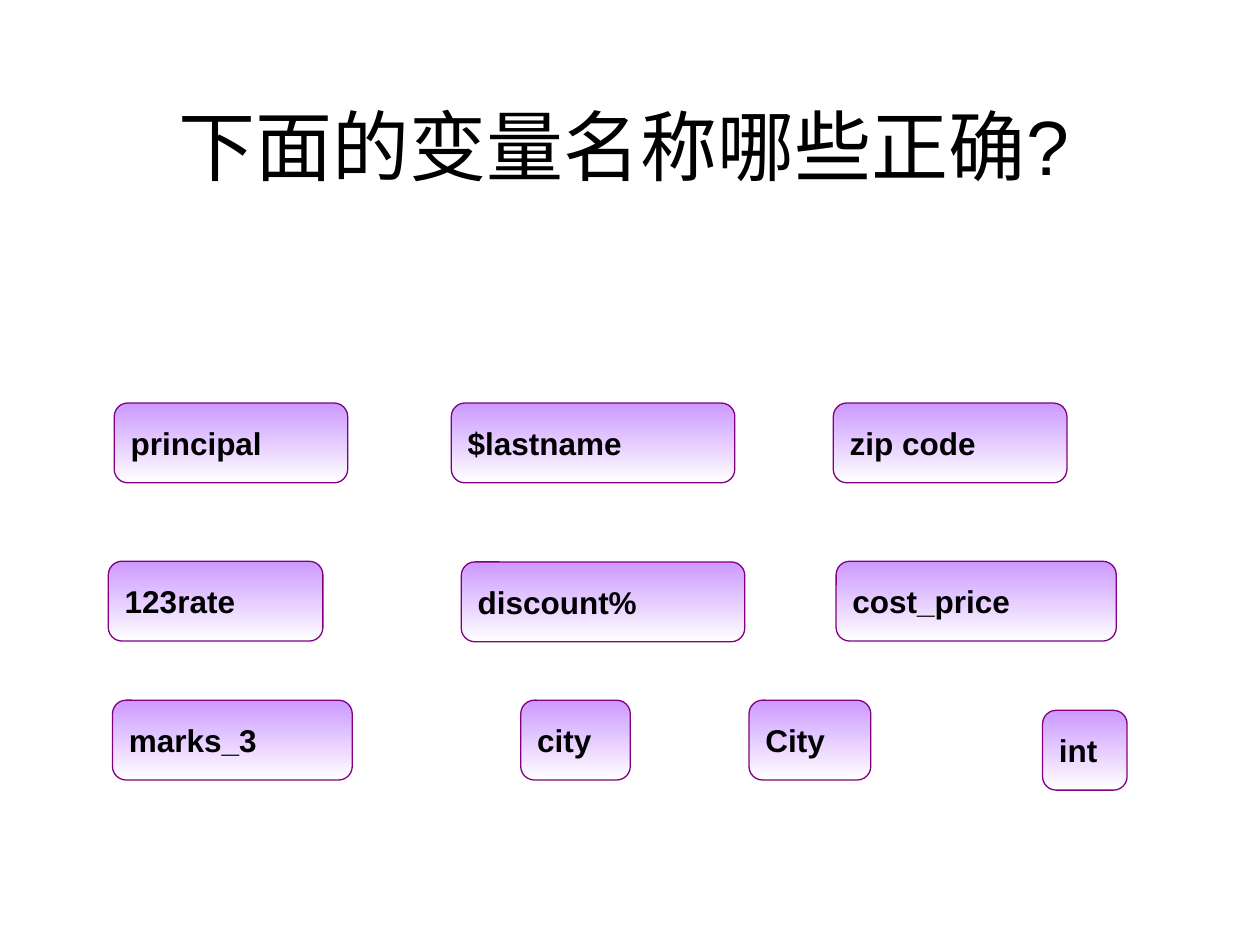
from typing import NamedTuple

from pptx import Presentation
from pptx.dml.color import RGBColor
from pptx.enum.shapes import MSO_SHAPE as Shape
from pptx.enum.text import MSO_ANCHOR as Anchor, PP_ALIGN as Align
from pptx.util import Pt

BLACK = RGBColor(0x00, 0x00, 0x00)
LILAC = RGBColor(0xCC, 0x99, 0xFF)
WHITE = RGBColor(0xFF, 0xFF, 0xFF)
PURPLE = RGBColor(0x80, 0x00, 0x80)
FONT = "Arial"
HIGH = 45.6


class Tag(NamedTuple):
    text: str
    left: float
    top: float
    width: float


# Rows of variable names
ROW1, ROW2, ROW3 = 230.3, 320.7, 400.1
TAGS = [
    Tag("principal", 65.3, ROW1, 133.4),
    Tag("$lastname", 257.9, ROW1, 162),
    Tag("zip code", 476.2, ROW1, 133.5),
    Tag("123rate", 61.9, ROW2, 122.6),
    Tag("discount%", 263.6, ROW2 + 0.4, 162),
    Tag("cost_price", 477.8, ROW2, 160.1),
    Tag("marks_3", 64.3, ROW3, 137),
    Tag("city", 297.6, ROW3, 62.6),
    Tag("City", 428, ROW3, 69.6),
    Tag("int", 595.8, ROW3 + 5.8, 48.3),
]


def write(shape, text: str, *, size: float, bold: bool = False,
          align: Align = Align.LEFT) -> None:
    frame = shape.text_frame
    frame.word_wrap = True
    frame.vertical_anchor = Anchor.MIDDLE
    frame.margin_left = frame.margin_right = Pt(7.2)
    frame.margin_top = frame.margin_bottom = Pt(3.6)
    para = frame.paragraphs[0]
    para.alignment = align
    run = para.add_run()
    run.text = text
    font = run.font
    font.name, font.size, font.bold = FONT, Pt(size), bold
    font.color.rgb = BLACK


def draw(slide, tag: Tag) -> None:
    box = slide.shapes.add_shape(
        Shape.ROUNDED_RECTANGLE,
        Pt(tag.left), Pt(tag.top), Pt(tag.width), Pt(HIGH))
    box.shadow.inherit = False
    box.adjustments[0] = 0.17
    fill = box.fill
    fill.gradient()
    fill.gradient_angle = 270
    for stop, color, pos in zip(fill.gradient_stops, (LILAC, WHITE), (0, 1)):
        stop.color.rgb = color
        stop.position = pos
    box.line.color.rgb = PURPLE
    box.line.width = Pt(0.74)
    write(box, tag.text, size=18, bold=True)


deck = Presentation()
deck.slide_width, deck.slide_height = Pt(720), Pt(540)
slide = deck.slides.add_slide(deck.slide_layouts[6])

# Title
title = slide.shapes.add_textbox(Pt(53.7), Pt(26.2), Pt(606), Pt(113))
write(title, "下面的变量名称哪些正确?", size=44, align=Align.CENTER)

# Name tags
for tag in TAGS:
    draw(slide, tag)

deck.save("out.pptx")
